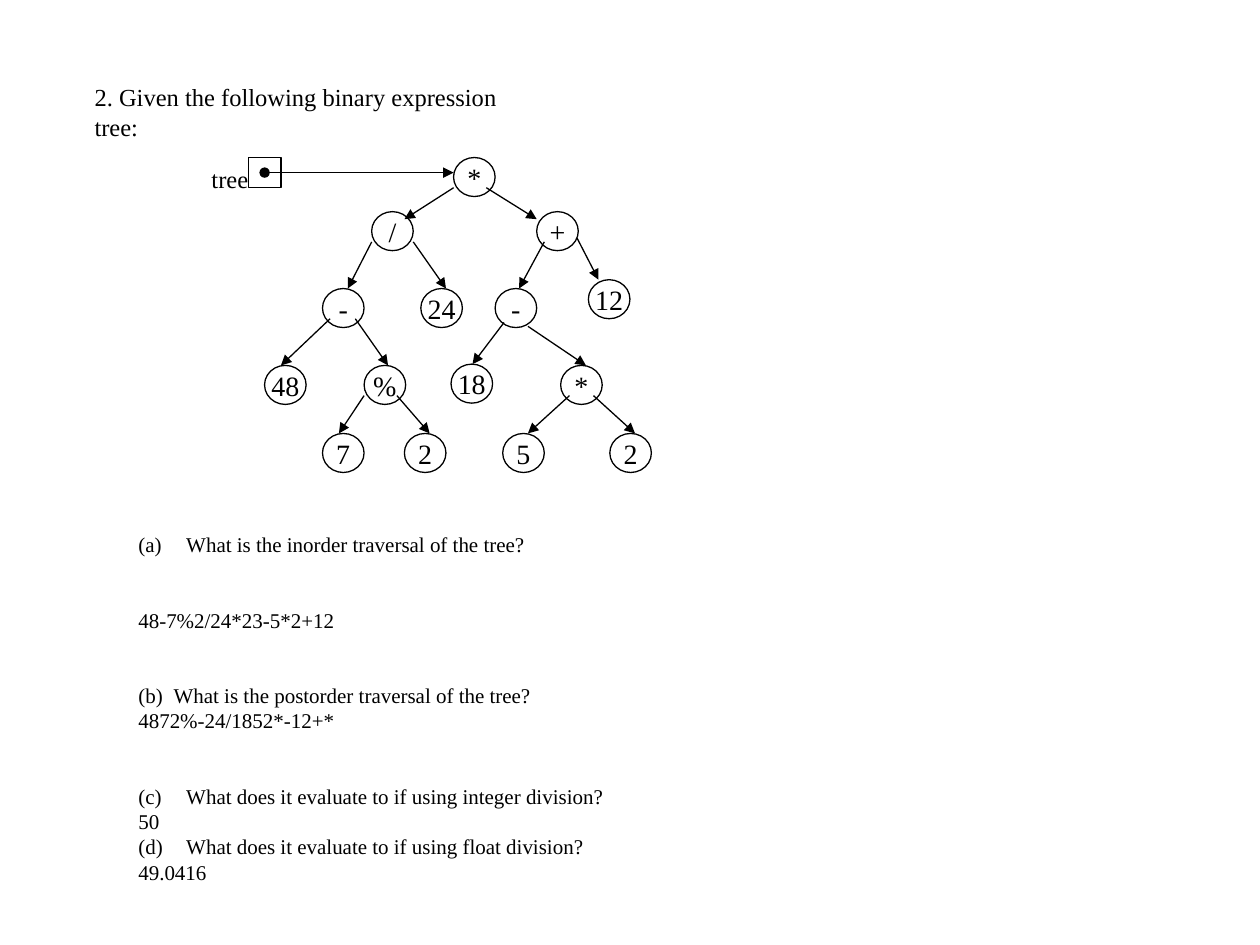
from lxml.etree import SubElement
from pptx import Presentation
from pptx.dml.color import RGBColor
from pptx.enum.shapes import MSO_CONNECTOR, MSO_SHAPE
from pptx.enum.text import MSO_ANCHOR, MSO_AUTO_SIZE, PP_ALIGN
from pptx.oxml.ns import qn
from pptx.util import Inches, Pt

FONT = "Times New Roman"
INK = "000000"

# left, top, text
NODES = [
    (3.6, 1.25, "*"),
    (2.95, 1.68, "/"), (4.26, 1.68, "+"),
    (2.56, 2.29, "-"), (3.34, 2.29, "24"), (3.93, 2.29, "-"), (4.67, 2.22, "12"),
    (2.1, 2.9, "48"), (2.89, 2.9, "%"), (3.58, 2.89, "18"), (4.45, 2.9, "*"),
    (2.56, 3.44, "7"), (3.21, 3.44, "2"), (3.99, 3.44, "5"), (4.84, 3.44, "2"),
]

# start x, start y, end x, end y
EDGES = [
    (3.6, 1.49, 3.21, 1.74), (3.86, 1.49, 4.26, 1.74),
    (2.95, 1.92, 2.76, 2.29), (3.28, 1.92, 3.54, 2.29),
    (4.32, 1.92, 4.12, 2.29), (4.58, 1.89, 4.75, 2.22),
    (2.62, 2.53, 2.23, 2.9), (2.82, 2.53, 3.08, 2.9),
    (4, 2.56, 3.75, 2.89), (4.19, 2.59, 4.65, 2.9),
    (2.89, 3.14, 2.69, 3.44), (3.15, 3.14, 3.41, 3.44),
    (4.52, 3.14, 4.19, 3.44), (4.71, 3.14, 5.04, 3.44),
]

# text, list number (0 for an answer), hanging indent, space before in points
LINES = [
    ("What is the inorder traversal of the tree?", 1, 0.38, 0),
    ("48-7%2/24*23-5*2+12", 0, 0, 28.8),
    ("What is the postorder traversal of the tree?", 2, 0.28, 28.8),
    ("4872%-24/1852*-12+*", 0, 0, 0),
    ("What does it evaluate to if using integer division?", 3, 0.38, 28.8),
    ("50", 0, 0, 0),
    ("What does it evaluate to if using float division?", 4, 0.38, 0),
    ("49.0416", 0, 0, 0),
]


def color(code):
    """Turn a hex string into a colour."""
    return RGBColor.from_string(code)


def place(shape, left, top, width, height):
    """Set position and size in inches."""
    shape.left, shape.top = Inches(left), Inches(top)
    shape.width, shape.height = Inches(width), Inches(height)


def style(para, size, align=PP_ALIGN.LEFT):
    """Format a paragraph and its runs."""
    para.alignment = align
    for run in para.runs:
        run.font.name = FONT
        run.font.size = Pt(size)
        run.font.color.rgb = color(INK)


def add_title(slide, text):
    """Fill and format the title placeholder."""
    title = slide.shapes.title
    place(title, 0.65, 0.6, 3.7, 0.6)
    frame = title.text_frame
    frame.text = text
    frame.word_wrap = True
    frame.auto_size = MSO_AUTO_SIZE.NONE
    frame.vertical_anchor = MSO_ANCHOR.TOP
    para = frame.paragraphs[0]
    para.line_spacing = Pt(17)
    para.space_before = Pt(0)
    style(para, 14)


def add_outline(shapes, kind, left, top, width, height):
    """Draw an unfilled shape with a thin line."""
    shape = shapes.add_shape(kind, 0, 0, 0, 0)
    place(shape, left, top, width, height)
    shape.shadow.inherit = False
    shape.fill.background()
    shape.line.color.rgb = color(INK)
    shape.line.width = Pt(0.75)
    return shape


def add_node(shapes, left, top, text):
    """Draw one tree node."""
    node = add_outline(shapes, MSO_SHAPE.OVAL, left, top, 0.33, 0.31)
    frame = node.text_frame
    frame.text = text
    frame.word_wrap = False
    frame.vertical_anchor = MSO_ANCHOR.MIDDLE
    style(frame.paragraphs[0], 16, PP_ALIGN.CENTER)


def add_arrow(shapes, x1, y1, x2, y2, head=None):
    """Draw an arrow, with an optional mark at its start."""
    arrow = shapes.add_connector(
        MSO_CONNECTOR.STRAIGHT, Inches(x1), Inches(y1), Inches(x2), Inches(y2))
    arrow.line.color.rgb = color(INK)
    arrow.line.width = Pt(0.75)
    line = arrow.line._get_or_add_ln()
    if head:
        SubElement(line, qn("a:headEnd"), type=head)
    SubElement(line, qn("a:tailEnd"), type="triangle")
    SubElement(arrow._element.spPr, qn("a:effectLst"))


def add_label(shapes, text, left, top, width, height):
    """Add a one-line label."""
    box = shapes.add_textbox(0, 0, 0, 0)
    place(box, left, top, width, height)
    box.text_frame.text = text
    box.text_frame.word_wrap = False
    style(box.text_frame.paragraphs[0], 14)


def set_number(para, start, indent):
    """Number a paragraph as (a), (b) and so on."""
    props = para._p.get_or_add_pPr()
    props.set("marL", str(Inches(indent)))
    props.set("indent", str(-Inches(indent)))
    SubElement(props, qn("a:buFont"), typeface=FONT)
    SubElement(props, qn("a:buAutoNum"), type="alphaLcParenBoth", startAt=str(start))


def add_quiz(slide):
    """Write the questions with their answers."""
    box = slide.shapes.add_textbox(Inches(1), Inches(4.17), Inches(4.3), Inches(3.33))
    frame = box.text_frame
    frame.word_wrap = True
    for i, (text, start, indent, gap) in enumerate(LINES):
        para = frame.add_paragraph() if i else frame.paragraphs[0]
        para.text = text
        para.space_before = Pt(gap)
        para.line_spacing = Pt(14.4)
        style(para, 12)
        if start:
            set_number(para, start, indent)


def add_tree(slide):
    """Draw the expression tree as one group."""
    shapes = slide.shapes.add_group_shape().shapes
    for node in NODES:
        add_node(shapes, *node)
    for edge in EDGES:
        add_arrow(shapes, *edge)
    add_outline(shapes, MSO_SHAPE.RECTANGLE, 1.97, 1.25, 0.26, 0.24)
    add_label(shapes, "tree", 1.58, 1.25, 0.49, 0.33)
    add_arrow(shapes, 2.1, 1.37, 3.6, 1.37, head="oval")


def main():
    """Build and save the slide."""
    deck = Presentation()
    deck.slide_width, deck.slide_height = Inches(10), Inches(7.5)
    slide = deck.slides.add_slide(deck.slide_layouts[5])
    add_title(slide, "2. Given the following binary expression tree:")
    add_quiz(slide)
    add_tree(slide)
    deck.save("out.pptx")


main()
